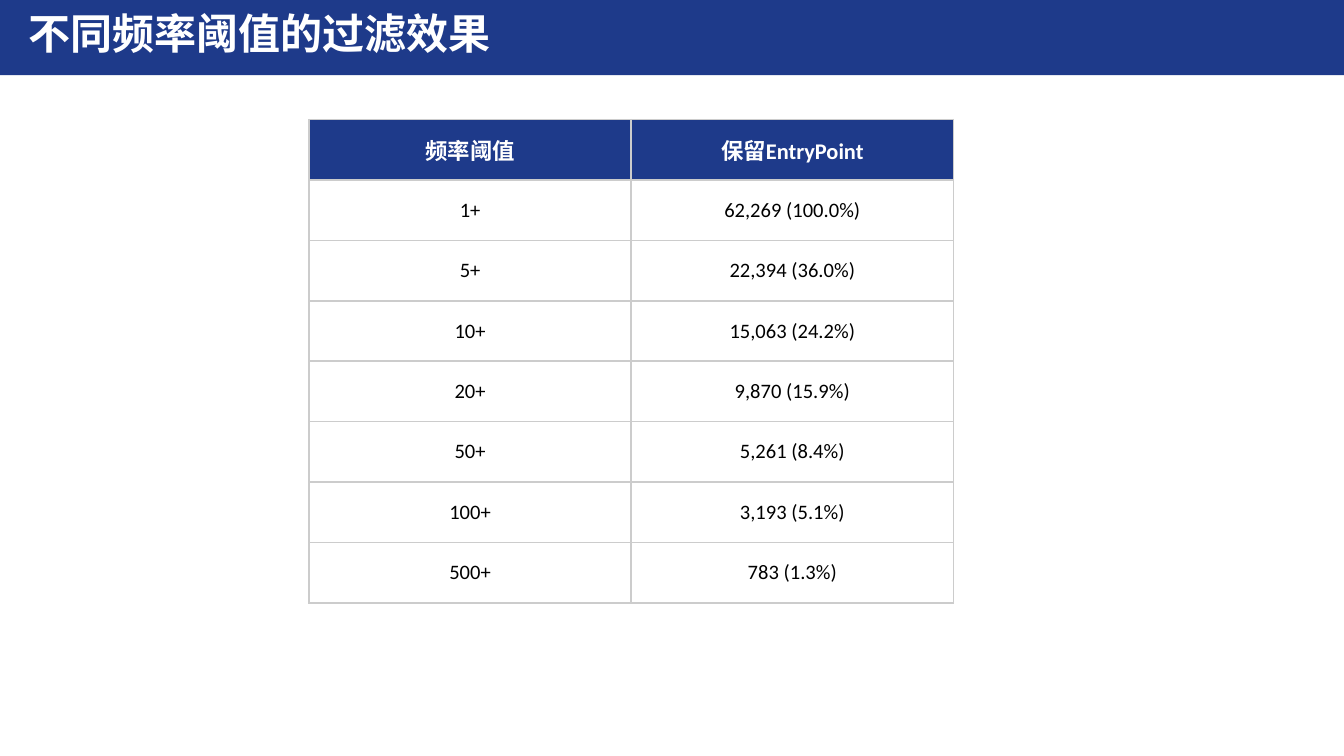
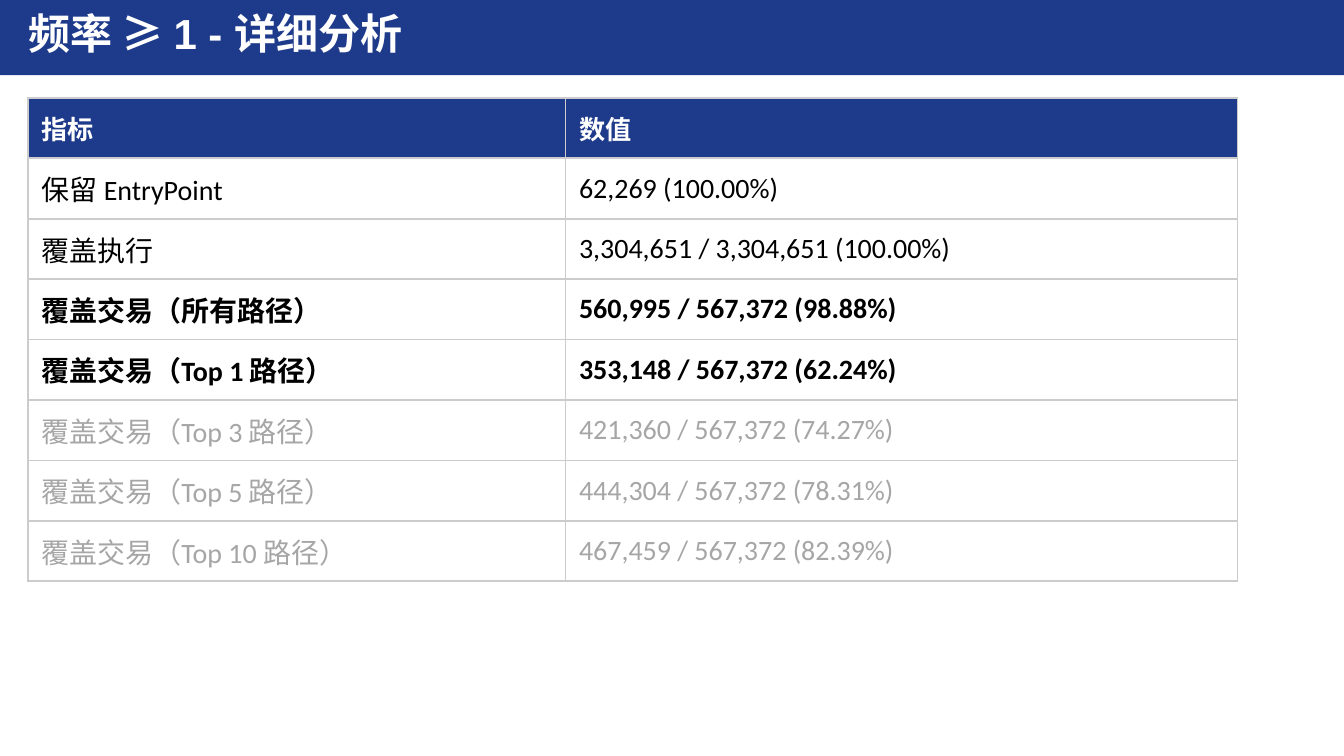
from lxml import etree
from pptx import Presentation
from pptx.dml.color import RGBColor
from pptx.enum.shapes import MSO_SHAPE
from pptx.enum.text import MSO_ANCHOR, MSO_AUTO_SIZE, PP_ALIGN
from pptx.oxml.ns import qn
from pptx.util import Cm, Pt

RECT = MSO_SHAPE.RECTANGLE
TOP, MIDDLE = MSO_ANCHOR.TOP, MSO_ANCHOR.MIDDLE
LEFT, CENTER = PP_ALIGN.LEFT, PP_ALIGN.CENTER
NO_FIT = MSO_AUTO_SIZE.NONE
TITLE_ONLY = 5

NAVY, WHITE, BLACK, GREY, BORDER = "1E3A8A", "FFFFFF", "000000", "A6A6A6", "CCCCCC"

THRESHOLDS = [
    ("频率阈值", "保留EntryPoint"),
    ("1+", "62,269 (100.0%)"),
    ("5+", "22,394 (36.0%)"),
    ("10+", "15,063 (24.2%)"),
    ("20+", "9,870 (15.9%)"),
    ("50+", "5,261 (8.4%)"),
    ("100+", "3,193 (5.1%)"),
    ("500+", "783 (1.3%)"),
]
DETAILS = [
    ("指标", "数值"),
    ("保留 EntryPoint", "62,269 (100.00%)"),
    ("覆盖执行", "3,304,651 / 3,304,651 (100.00%)"),
    ("覆盖交易（所有路径）", "560,995 / 567,372 (98.88%)"),
    ("覆盖交易（Top 1 路径）", "353,148 / 567,372 (62.24%)"),
    ("覆盖交易（Top 3 路径）", "421,360 / 567,372 (74.27%)"),
    ("覆盖交易（Top 5 路径）", "444,304 / 567,372 (78.31%)"),
    ("覆盖交易（Top 10 路径）", "467,459 / 567,372 (82.39%)"),
]
KEY_ROWS, MUTED_ROWS = (3, 4), (5, 6, 7)


def rgb(value):
    return RGBColor.from_string(value)


def set_all(obj, values):
    for name, value in values.items():
        setattr(obj, name, value)


class Deck:
    """Holds the shared style and the current slide."""

    def __init__(self):
        self.prs = Presentation()
        set_all(self.prs, {"slide_width": Cm(25.4), "slide_height": Cm(14.29)})
        self.s = None

    def slide(self, title):
        self.s = self.prs.slides.add_slide(self.prs.slide_layouts[TITLE_ONLY])
        self.title(title)
        self.band()

    def add_text(self, p, text, font, size, color, bold, align):
        p.alignment = align
        r = p.add_run()
        r.text = text
        set_all(r.font, {"name": font, "size": Pt(size), "bold": bold})
        r.font.color.rgb = rgb(color)

    def title(self, text):
        sp = self.s.shapes.title
        set_all(sp, {"left": Cm(0.53), "top": Cm(0.3),
                     "width": Cm(12.45), "height": Cm(0.79)})
        tf = sp.text_frame
        set_all(tf, {"margin_left": 0, "margin_top": 0, "margin_right": 0,
                     "margin_bottom": 0, "word_wrap": True,
                     "auto_size": NO_FIT, "vertical_anchor": TOP})
        p = tf.paragraphs[0]
        p.line_spacing = Pt(22.5)
        self.add_text(p, text, "Arial", 22.5, WHITE, True, LEFT)

    def band(self):
        sp = self.s.shapes.add_shape(RECT, 0, 0, self.prs.slide_width, Cm(1.42))
        sp.shadow.inherit = False
        sp.fill.solid()
        sp.fill.fore_color.rgb = rgb(NAVY)
        sp.line.fill.background()
        self.s.shapes.title.element.addprevious(sp.element)

    def borders(self, cell):
        tc_pr = cell._tc.get_or_add_tcPr()
        for i, side in enumerate(("lnL", "lnR", "lnT", "lnB")):
            ln = etree.Element(qn(f"a:{side}"), w=str(Pt(1)))
            fill = etree.SubElement(ln, qn("a:solidFill"))
            etree.SubElement(fill, qn("a:srgbClr"), val=BORDER)
            tc_pr.insert(i, ln)

    def table(self, rows, left, top, widths, head_size, body_size,
              align=LEFT, key_rows=(), muted_rows=()):
        table = self.s.shapes.add_table(
            len(rows), len(widths), Cm(left), Cm(top), Cm(sum(widths)), Cm(9.14)).table
        set_all(table, {"first_row": False, "horz_banding": False})
        for column, width in zip(table.columns, widths):
            column.width = Cm(width)
        for i, row in enumerate(rows):
            head = i == 0
            size = head_size if head else body_size
            color = WHITE if head else GREY if i in muted_rows else BLACK
            for j, text in enumerate(row):
                cell = table.cell(i, j)
                cell.vertical_anchor = MIDDLE
                if head:
                    cell.fill.solid()
                    cell.fill.fore_color.rgb = rgb(NAVY)
                else:
                    cell.fill.background()
                self.borders(cell)
                self.add_text(cell.text_frame.paragraphs[0], text, "Calibri", size,
                              color, head or i in key_rows, align)


def main():
    deck = Deck()
    deck.slide("不同频率阈值的过滤效果")
    deck.table(THRESHOLDS, 5.84, 2.26, (6.09, 6.09), 12, 11, CENTER)
    deck.slide("频率 ≥ 1 - 详细分析")
    deck.table(DETAILS, 0.53, 1.85, (10.16, 12.7), 14, 15,
               key_rows=KEY_ROWS, muted_rows=MUTED_ROWS)
    deck.prs.save("out.pptx")


if __name__ == "__main__":
    main()
